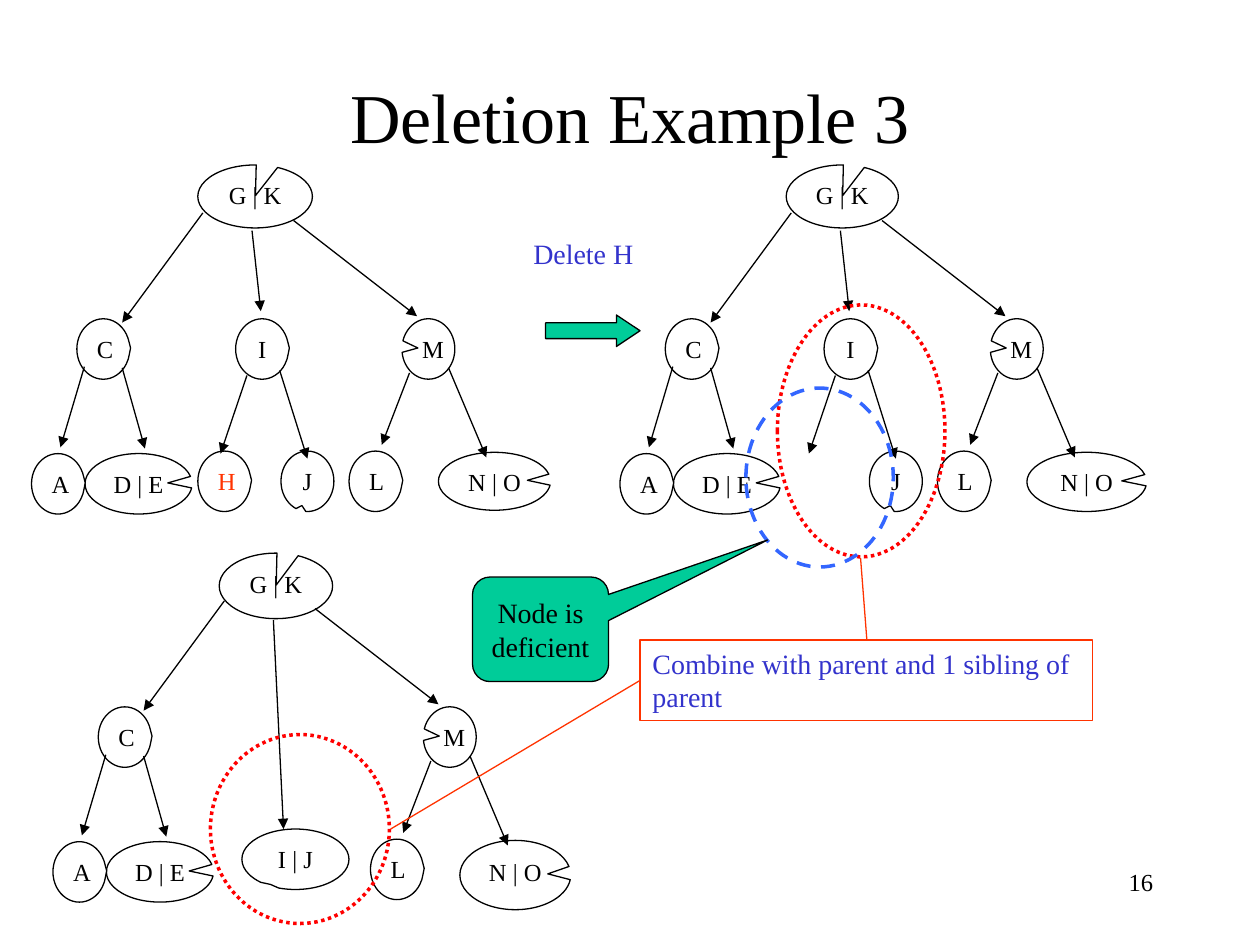
from dataclasses import dataclass
from typing import Optional

from lxml.etree import SubElement
from pptx import Presentation
from pptx.dml.color import RGBColor
from pptx.enum.dml import MSO_LINE
from pptx.enum.shapes import MSO_CONNECTOR, MSO_SHAPE
from pptx.enum.text import MSO_ANCHOR, PP_ALIGN
from pptx.oxml.ns import qn
from pptx.util import Emu, Inches, Pt

BLACK = RGBColor(0x00, 0x00, 0x00)
WHITE = RGBColor(0xFF, 0xFF, 0xFF)
ORANGE = RGBColor(0xFF, 0x33, 0x00)
RED = RGBColor(0xFF, 0x00, 0x00)
BLUE = RGBColor(0x33, 0x66, 0xFF)
INDIGO = RGBColor(0x33, 0x33, 0xCC)
GREEN = RGBColor(0x00, 0xCC, 0x99)
FONT = "Times New Roman"
COLUMNS, ROWS = 100, 75
THIN, THICK = 0.75, 2

deck = Presentation()
deck.slide_width, deck.slide_height = Inches(10), Inches(7.5)
page = deck.slides.add_slide(deck.slide_layouts[6])


@dataclass(frozen=True)
class Area:
    """A rectangle in grid columns and rows."""
    left: float
    top: float
    width: float
    height: float

    def lengths(self) -> tuple:
        return (column(self.left), row(self.top),
                column(self.width), row(self.height))


@dataclass(frozen=True)
class Node:
    label: str
    left: float
    top: float
    pointer: tuple = (0.515, -0.016)
    width: float = 4.2
    height: float = 4.8
    color: RGBColor = BLACK


@dataclass(frozen=True)
class Link:
    start: tuple
    end: tuple


@dataclass(frozen=True)
class Tree:
    left: float
    top: float
    root_size: tuple
    last_leaf_size: tuple
    nodes: tuple
    links: tuple


def column(count: float) -> Emu:
    return Emu(round(deck.slide_width * count / COLUMNS))


def row(count: float) -> Emu:
    return Emu(round(deck.slide_height * count / ROWS))


def write(shape, text: str, size: float, color: RGBColor = BLACK,
          align=PP_ALIGN.CENTER, anchor=MSO_ANCHOR.TOP, before: float = 0) -> None:
    frame = shape.text_frame
    frame.word_wrap = True
    frame.vertical_anchor = anchor
    para = frame.paragraphs[0]
    para.alignment = align
    para.space_before = Pt(before)
    span = para.add_run()
    span.text = text
    span.font.name, span.font.size = FONT, Pt(size)
    span.font.color.rgb = color


def add_label(area: Area, text: str, size: float, **style) -> None:
    write(page.shapes.add_textbox(*area.lengths()), text, size, **style)


def add_box(kind, area: Area, fill: Optional[RGBColor] = None,
            line: RGBColor = BLACK, width: float = THIN, dash=None,
            adjust: tuple = ()):
    box = page.shapes.add_shape(kind, *area.lengths())
    box.shadow.inherit = False
    if fill is None:
        box.fill.background()
    else:
        box.fill.solid()
        box.fill.fore_color.rgb = fill
    box.line.color.rgb, box.line.width = line, Pt(width)
    if dash is not None:
        box.line.dash_style = dash
    for index, value in enumerate(adjust):
        box.adjustments[index] = value
    return box


def add_line(start: tuple, end: tuple, color: RGBColor = BLACK,
             arrow: bool = False) -> None:
    line = page.shapes.add_connector(
        MSO_CONNECTOR.STRAIGHT, column(start[0]), row(start[1]),
        column(end[0]), row(end[1]))
    line.line.color.rgb, line.line.width = color, Pt(THIN)
    properties = line.element.spPr
    if arrow:
        SubElement(properties.find(qn("a:ln")), qn("a:tailEnd"), type="triangle")
    SubElement(properties, qn("a:effectLst"))


def draw_tree(tree: Tree) -> None:
    root = Node("G | K", 15.7, 13.1, (0.003, -0.014), *tree.root_size)
    last_leaf = Node("N | O", 34.8, 35.9, (0.293, -0.017), *tree.last_leaf_size)
    for node in (root, *SHARED_NODES, last_leaf, *tree.nodes):
        area = Area(tree.left + node.left, tree.top + node.top,
                    node.width, node.height)
        box = add_box(MSO_SHAPE.OVAL_CALLOUT, area, WHITE, adjust=node.pointer)
        write(box, node.label, 14, node.color)
    for link in SHARED_LINKS + tree.links:
        start, end = ((tree.left + x, tree.top + y)
                      for x, y in (link.start, link.end))
        add_line(start, end, arrow=True)


# Parts found in every tree
SHARED_NODES = (
    Node("M", 31.9, 25.3, (-0.199, -0.016)),
    Node("L", 27.7, 35.8),
    Node("C", 6.1, 25.3),
    Node("D | E", 6.75, 36, (0.273, -0.015), width=8.5),
    Node("A", 2.5, 36),
)
SHARED_LINKS = (
    Link((16.1, 16.9), (9.7, 25.6)),
    Link((23.3, 17.5), (33.1, 25.1)),
    Link((6.7, 29.1), (4.8, 35.5)),
    Link((9.7, 29.2), (11.5, 35.6)),
    Link((32.5, 29.6), (30.3, 35.3)),
    Link((35.6, 29.2), (38.6, 36.3)),
)

# Middle branches before and after the merge
split_nodes = (Node("I", 18.7, 25.3), Node("J", 22.3, 35.8, (-0.104, 0.401)))
split_links = (
    Link((20, 18.3), (20.7, 24.7)),
    Link((19.6, 29.8), (17.5, 36)),
    Link((22.2, 29.4), (24.4, 36.4)),
)
deleted_node = Node("H", 15.7, 35.8, color=ORANGE)
merged_node = Node("I | J", 17.5, 35, (-0.233, 0.416), width=8.5)
merged_link = Link((20, 18.4), (20.8, 35))

# Page number and title
add_label(Area(71.7, 68.3, 20.8, 5), "16", 14, align=PP_ALIGN.RIGHT)
add_label(Area(7.5, 5.8, 85, 6.7), "Deletion Example 3", 40,
          anchor=MSO_ANCHOR.MIDDLE)

# Trees: start, after the deletion, after the merge
for stage in (
    Tree(0, 0, (9.1, 5), (8.9, 4.6), (deleted_node, *split_nodes), split_links),
    Tree(46.7, 0, (8.9, 5), (9.5, 4.7), split_nodes, split_links),
    Tree(1.7, 30.8, (9, 5.2), (8.8, 5.5), (merged_node,), (merged_link,)),
):
    draw_tree(stage)

# Deletion step
add_label(Area(39.2, 18.3, 14.2, 3.7), "Delete H", 16, color=INDIGO, before=10)
add_box(MSO_SHAPE.RIGHT_ARROW, Area(43.3, 25, 7.5, 2.5), GREEN,
        adjust=(0.5, 0.75))

# Merge step
merge_note = add_box(MSO_SHAPE.RECTANGLE, Area(50.8, 50.8, 35.9, 6.4), line=ORANGE)
write(merge_note, "Combine with parent and 1 sibling of parent", 16, INDIGO,
      PP_ALIGN.LEFT, before=10)
for ring in (Area(61.7, 24.2, 13.3, 20), Area(16.7, 58.3, 14.2, 15)):
    add_box(MSO_SHAPE.OVAL, ring, line=RED, width=THICK, dash=MSO_LINE.ROUND_DOT)
add_line((68.8, 50.8), (68.3, 44.3), ORANGE)
add_line((50.8, 54), (31, 65.8), ORANGE)

# Deficient node
add_box(MSO_SHAPE.OVAL, Area(59.2, 30.8, 11.7, 14.2), line=BLUE, width=THICK,
        dash=MSO_LINE.DASH)
deficient_note = add_box(MSO_SHAPE.ROUNDED_RECTANGULAR_CALLOUT,
                         Area(37.5, 45.8, 10.8, 8.3), GREEN,
                         adjust=(1.668, -0.854, 0.167))
write(deficient_note, "Node is deficient", 16, anchor=MSO_ANCHOR.MIDDLE)

deck.save("out.pptx")
